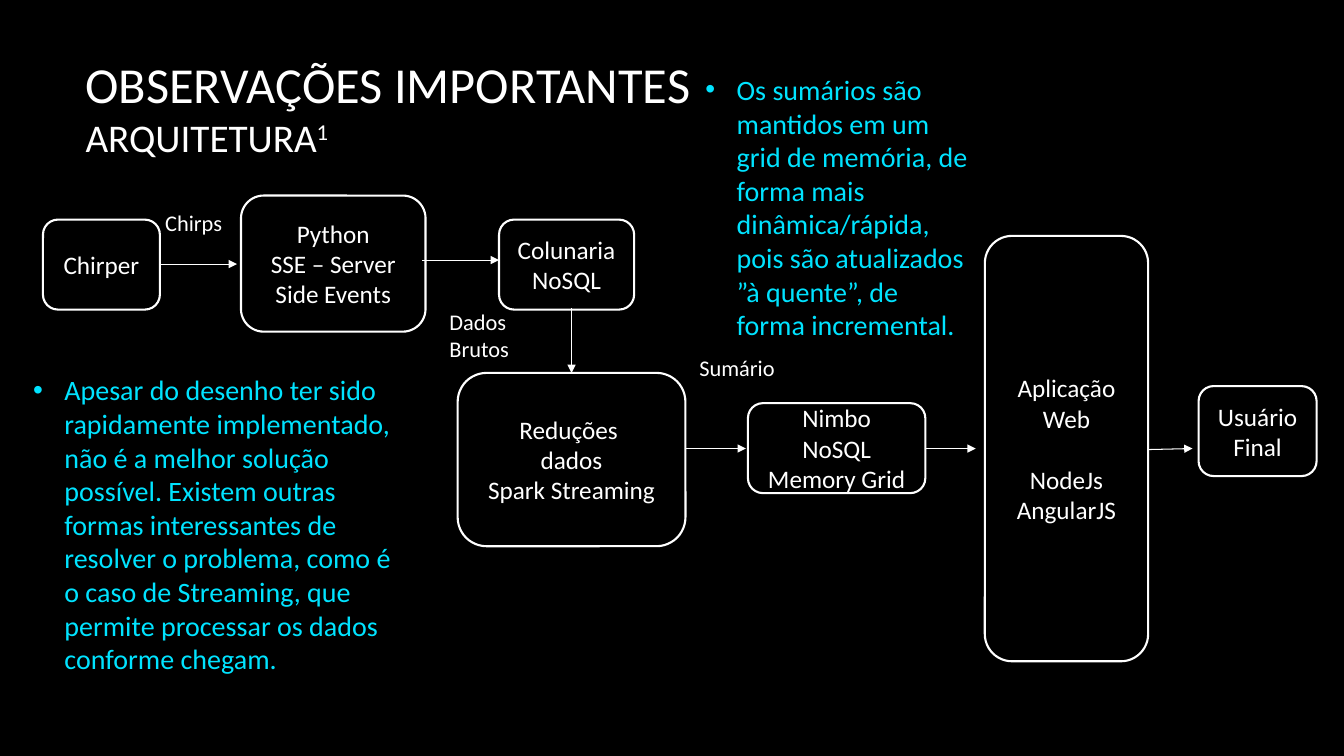
"""Builds the slide on the streaming architecture."""
from lxml.etree import SubElement
from pptx import Presentation
from pptx.dml.color import RGBColor
from pptx.enum.shapes import MSO_CONNECTOR as Connector, MSO_SHAPE as Shape
from pptx.enum.text import MSO_ANCHOR as Anchor, PP_ALIGN as Align
from pptx.oxml.ns import qn
from pptx.util import Inches, Pt

WIDTH, HEIGHT = Inches(13.33), Inches(7.5)
COLORS = {"back": "000000", "ink": "FFFFFF", "note": "00E3FF"}
BOX_ROWS = 11.9
TOP_ROW, FLOW_ROW = 29.05, 59.33

NODES = [
    (3.2, TOP_ROW, 8.7, BOX_ROWS, ["Chirper"]),
    (17.93, 25.87, 13.73, 18, ["Python", "SSE – Server Side Events"]),
    (37.13, TOP_ROW, 10.05, BOX_ROWS, ["Colunaria", "NoSQL"]),
    (34.05, 49.33, 16.95, 22.93, ["Reduções \vdados", "Spark Streaming"]),
    (55.65, 53.33, 13.2, BOX_ROWS, ["Nimbo", "NoSQL", "Memory Grid"]),
    (89.18, 51.07, 8.78, BOX_ROWS, ["Usuário", "Final"]),
]
WEB_APP = (73.28, 31.2, 12.15, 56.27, ["Aplicação Web", "NodeJs", "AngularJS"])
ARROWS = [
    (11.85, 34.93, 17.63, 34.93),
    (31.43, 34.4, 37.13, 34.4),
    (42.53, 40.8, 42.53, 49.33),
    (51, FLOW_ROW, 55.5, FLOW_ROW),
    (68.85, FLOW_ROW, 72.6, FLOW_ROW),
    (85.35, 59.47, 88.73, FLOW_ROW),
]
LABELS = [
    (32.7, 40.13, 6, 8.53, ["Dados", "Brutos"]),
    (51.3, 46.13, 7.2, 4.93, ["Sumário"]),
    (11.55, 27.07, 6.38, 4.93, ["Chirps"]),
]
NOTES = [
    (1.73, 48.67, 28.88, 41.73, [
        "Apesar do desenho ter sido rapidamente implementado, não é a melhor "
        "solução possível. Existem outras formas interessantes de resolver o "
        "problema, como é o caso de Streaming, que permite processar os dados "
        "conforme chegam."]),
    (51.75, 8.93, 21, 37.2, [
        "Os sumários são mantidos em um grid de memória, de forma mais "
        "dinâmica/rápida, pois são atualizados ”à quente”, de forma "
        "incremental."]),
]


def color(name):
    """Return a named colour."""
    return RGBColor.from_string(COLORS[name])


def place(*shares):
    """Turn percentages of the slide, across and down in turn, into lengths."""
    return [int(share * (HEIGHT if index % 2 else WIDTH) / 100)
            for index, share in enumerate(shares)]


def apply(target, **values):
    """Set attributes from a dict of format values."""
    for name, value in values.items():
        setattr(target, name, value)


def style(span, size, ink="ink"):
    """Give a run its font, size and colour."""
    apply(span.font, name="Calibri", size=Pt(size))
    span.font.color.rgb = color(ink)


def write(frame, lines, size, ink="ink", align=Align.LEFT):
    """Write one paragraph for each line."""
    for index, line in enumerate(lines):
        para = frame.paragraphs[0] if index == 0 else frame.add_paragraph()
        apply(para, text=line, alignment=align)
        for span in para.runs:
            style(span, size, ink)


def add_text(page, area, wrap=True, anchor=Anchor.TOP):
    """Add a text box and return its frame."""
    frame = page.shapes.add_textbox(*place(*area)).text_frame
    apply(frame, word_wrap=wrap, vertical_anchor=anchor)
    return frame


def add_title(page):
    """Add the two-line heading with its superscript."""
    frame = add_text(page, (5.63, 3.47, 83.1, 21.2), anchor=Anchor.MIDDLE)
    para = frame.paragraphs[0]
    para.text = "OBSERVAÇÕES IMPORTANTES\vARQUITETURA"
    mark = para.add_run()
    mark.text = "1"
    for span, size in zip(para.runs, (36, 28, 28)):
        style(span, size)
    mark.font._element.set("baseline", "30000")


def add_node(page, *area, lines):
    """Add an outlined rounded box with centred text and return its frame."""
    box = page.shapes.add_shape(Shape.ROUNDED_RECTANGLE, *place(*area))
    box.shadow.inherit = False
    box.fill.background()
    box.line.color.rgb = color("ink")
    box.line.width = Pt(1.5)
    frame = box.text_frame
    apply(frame, word_wrap=True, vertical_anchor=Anchor.MIDDLE)
    write(frame, lines, 18, align=Align.CENTER)
    return frame


def add_arrow(page, *ends):
    """Add a thin line with a triangle at its end."""
    arrow = page.shapes.add_connector(Connector.STRAIGHT, *place(*ends))
    arrow.line.color.rgb = color("ink")
    arrow.line.width = Pt(0.75)
    SubElement(arrow.line._get_or_add_ln(), qn("a:tailEnd"), type="triangle")
    SubElement(arrow._element.spPr, qn("a:effectLst"))


def add_note(page, *area, lines):
    """Add a bulleted remark."""
    frame = add_text(page, area)
    write(frame, lines, 20, "note")
    for para in frame.paragraphs:
        props = para._p.get_or_add_pPr()
        indent = Inches(0.31)
        props.set("marL", str(indent))
        props.set("indent", str(-indent))
        SubElement(props, qn("a:buFont"), typeface="Arial")
        SubElement(props, qn("a:buChar"), char="•")


def main():
    """Build and save the deck."""
    deck = Presentation()
    apply(deck, slide_width=WIDTH, slide_height=HEIGHT)
    page = deck.slides.add_slide(deck.slide_layouts[6])
    page.background.fill.solid()
    page.background.fill.fore_color.rgb = color("back")
    add_title(page)
    for *area, lines in NODES:
        add_node(page, *area, lines=lines)
    *area, lines = WEB_APP
    web_frame = add_node(page, *area, lines=lines)
    web_frame.paragraphs[1].space_before = Pt(22)
    for ends in ARROWS:
        add_arrow(page, *ends)
    for *area, lines in LABELS:
        write(add_text(page, area, wrap=False), lines, 16)
    for *area, lines in NOTES:
        add_note(page, *area, lines=lines)
    deck.save("out.pptx")


if __name__ == "__main__":
    main()
